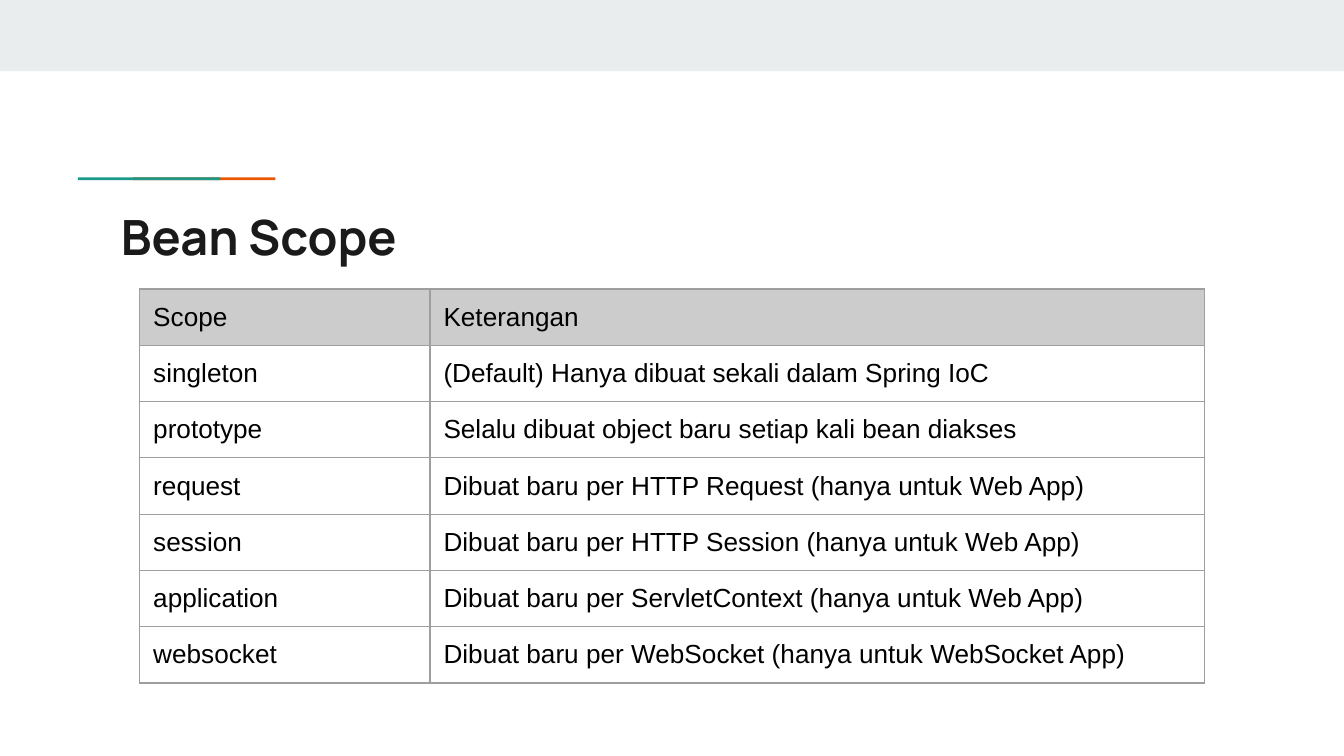
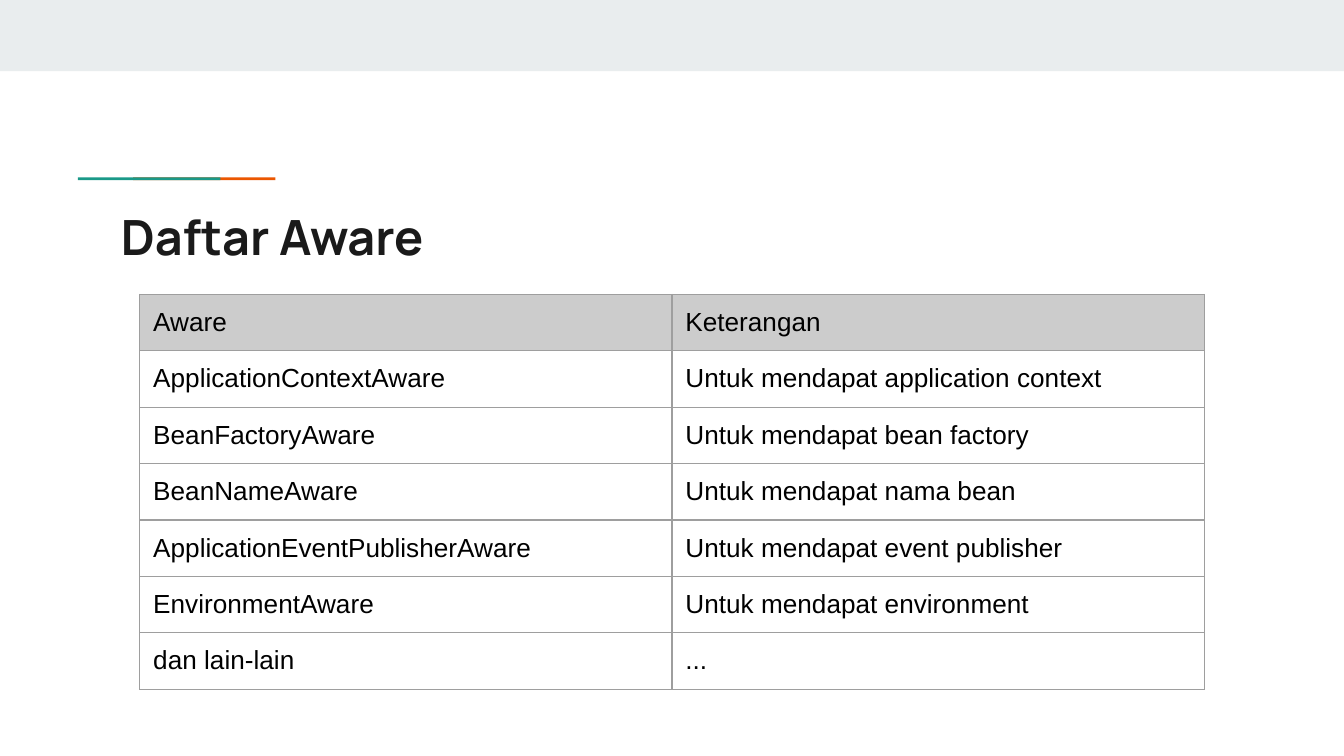
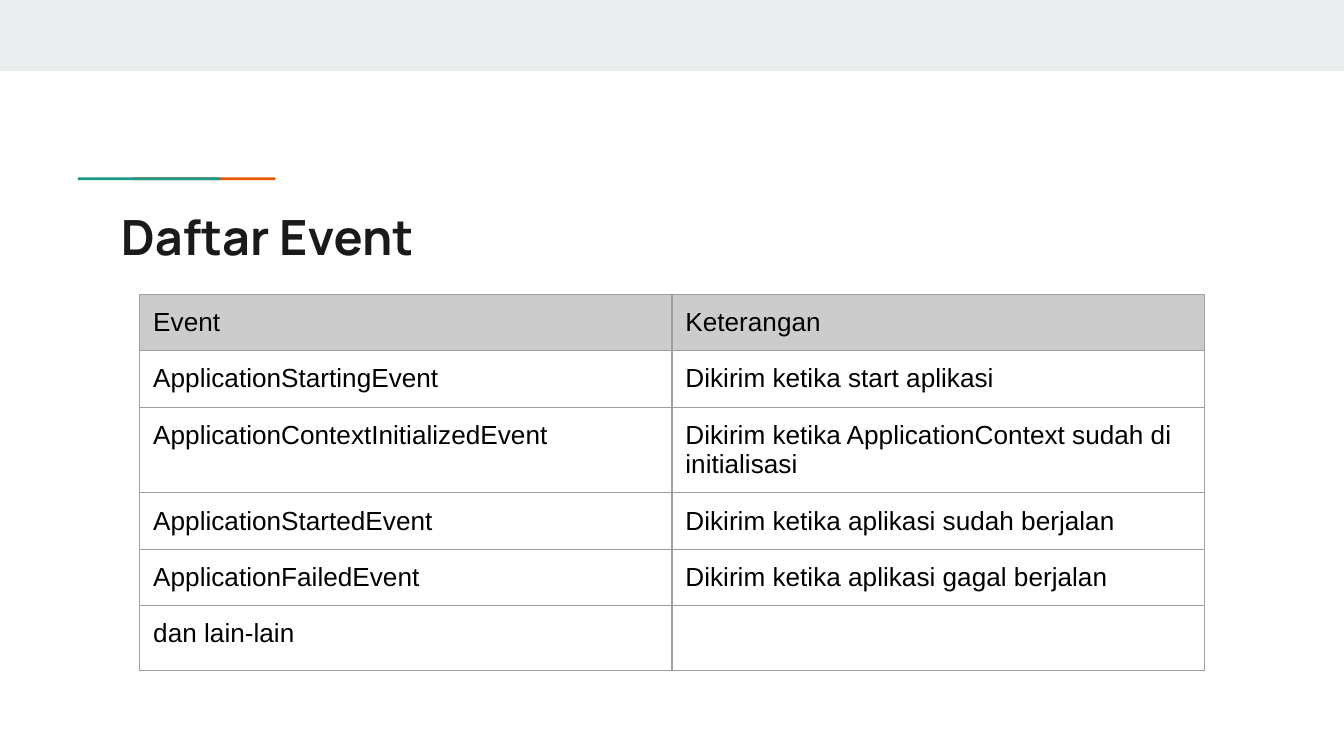
from dataclasses import dataclass

from lxml.etree import SubElement
from pptx import Presentation
from pptx.dml.color import RGBColor
from pptx.enum.shapes import MSO_SHAPE
from pptx.enum.text import MSO_ANCHOR, MSO_AUTO_SIZE, PP_ALIGN
from pptx.oxml.ns import qn
from pptx.util import Inches, Pt


@dataclass(frozen=True)
class Theme:
    band: str = "E9EDEE"
    orange: str = "EB5600"
    green: str = "1A9988"
    title_color: str = "1A1A1A"
    text_color: str = "000000"
    header_fill: str = "CCCCCC"
    border: str = "9E9E9E"
    title_font: str = "Manrope"
    text_font: str = "Arial"
    title_size: int = 26
    text_size: int = 14
    empty_size: int = 18
    border_width: float = 0.75
    inset: float = 0.1


def write_text(text_frame, text, *, font, size, color, bold=False):
    text_frame.text = text
    paragraph = text_frame.paragraphs[0]
    paragraph.alignment = PP_ALIGN.LEFT
    run_font = paragraph.runs[0].font
    run_font.name = font
    run_font.size = Pt(size)
    run_font.bold = bold
    run_font.color.rgb = RGBColor.from_string(color)


class Deck:
    def __init__(self, theme):
        self.theme = theme
        self.presentation = Presentation()
        self.presentation.slide_width = Inches(10)
        self.presentation.slide_height = Inches(10 * 9 / 16)
        self.layout = self.presentation.slide_layouts.get_by_name("Title Only")
        self.slide = None

    def start_slide(self):
        self.slide = self.presentation.slides.add_slide(self.layout)

    def title(self, text):
        theme = self.theme
        shape = self.slide.shapes.title
        shape.left, shape.top = Inches(0.8), Inches(1.44)
        shape.width, shape.height = Inches(8.41), Inches(0.59)
        text_frame = shape.text_frame
        text_frame.auto_size = MSO_AUTO_SIZE.NONE
        text_frame.vertical_anchor = MSO_ANCHOR.TOP
        text_frame.margin_left = text_frame.margin_right = Inches(theme.inset)
        text_frame.margin_top = text_frame.margin_bottom = Inches(theme.inset)
        write_text(text_frame, text, font=theme.title_font, size=theme.title_size,
                   color=theme.title_color, bold=True)

    def rectangle(self, left, top, width, height, color):
        shape = self.slide.shapes.add_shape(
            MSO_SHAPE.RECTANGLE, Inches(left), Inches(top), Inches(width), Inches(height))
        shape.shadow.inherit = False
        shape.fill.solid()
        shape.fill.fore_color.rgb = RGBColor.from_string(color)
        shape.line.fill.background()
        return shape

    def cell_borders(self, cell):
        properties = cell._tc.get_or_add_tcPr()
        for side in ("a:lnL", "a:lnR", "a:lnT", "a:lnB"):
            line = SubElement(properties, qn(side), w=str(Pt(self.theme.border_width)))
            fill = SubElement(line, qn("a:solidFill"))
            SubElement(fill, qn("a:srgbClr"), val=self.theme.border)

    def cell_text(self, cell, text):
        theme = self.theme
        if text:
            write_text(cell.text_frame, text, font=theme.text_font,
                       size=theme.text_size, color=theme.text_color)
        else:
            paragraph = cell.text_frame.paragraphs[0]
            ending = SubElement(paragraph._p, qn("a:endParaRPr"), sz=str(theme.empty_size * 100))
            SubElement(ending, qn("a:latin"), typeface=theme.text_font)

    def table(self, top, column_widths, row_height, rows):
        theme = self.theme
        frame = self.slide.shapes.add_table(
            len(rows), len(column_widths), Inches(1.04), Inches(top),
            Inches(sum(column_widths)), Inches(row_height * len(rows)))
        table = frame.table
        table.first_row = table.horz_banding = False
        for column, width in zip(table.columns, column_widths):
            column.width = Inches(width)
        for row_index, (row, texts) in enumerate(zip(table.rows, rows)):
            row.height = Inches(row_height)
            for cell, text in zip(row.cells, texts):
                cell.margin_left = cell.margin_right = Inches(theme.inset)
                cell.margin_top = cell.margin_bottom = Inches(theme.inset)
                self.cell_borders(cell)
                if row_index == 0:
                    cell.fill.solid()
                    cell.fill.fore_color.rgb = RGBColor.from_string(theme.header_fill)
                else:
                    cell.fill.background()
                self.cell_text(cell, text)

    def decorate_layout(self):
        theme = self.theme
        decorations = [
            self.rectangle(0, 0, 10, 0.53, theme.band),
            self.rectangle(0.99, 1.32, 1.06, 0.02, theme.orange),
            self.rectangle(0.58, 1.32, 1.06, 0.02, theme.green),
        ]
        for position, shape in enumerate(decorations, start=2):
            self.layout.shapes.element.insert(position, shape.element)


SLIDES = [
    ("Bean Scope", 2.15, (2.16, 5.76), 0.37, [
        ("Scope", "Keterangan"),
        ("singleton", "(Default) Hanya dibuat sekali dalam Spring IoC"),
        ("prototype", "Selalu dibuat object baru setiap kali bean diakses"),
        ("request", "Dibuat baru per HTTP Request (hanya untuk Web App)"),
        ("session", "Dibuat baru per HTTP Session (hanya untuk Web App)"),
        ("application", "Dibuat baru per ServletContext (hanya untuk Web App)"),
        ("websocket", "Dibuat baru per WebSocket (hanya untuk WebSocket App)"),
    ]),
    ("Daftar Aware", 2.19, (3.96, 3.96), 0.42, [
        ("Aware", "Keterangan"),
        ("ApplicationContextAware", "Untuk mendapat application context"),
        ("BeanFactoryAware", "Untuk mendapat bean factory"),
        ("BeanNameAware", "Untuk mendapat nama bean"),
        ("ApplicationEventPublisherAware", "Untuk mendapat event publisher"),
        ("EnvironmentAware", "Untuk mendapat environment"),
        ("dan lain-lain", "..."),
    ]),
    ("Daftar Event", 2.19, (3.96, 3.96), 0.42, [
        ("Event", "Keterangan"),
        ("ApplicationStartingEvent", "Dikirim ketika start aplikasi"),
        ("ApplicationContextInitializedEvent",
         "Dikirim ketika ApplicationContext sudah di initialisasi"),
        ("ApplicationStartedEvent", "Dikirim ketika aplikasi sudah berjalan"),
        ("ApplicationFailedEvent", "Dikirim ketika aplikasi gagal berjalan"),
        ("dan lain-lain", ""),
    ]),
]


def main():
    deck = Deck(Theme())
    for title, table_top, column_widths, row_height, rows in SLIDES:
        deck.start_slide()
        deck.title(title)
        deck.table(table_top, column_widths, row_height, rows)
    deck.decorate_layout()
    deck.presentation.save("out.pptx")


if __name__ == "__main__":
    main()
